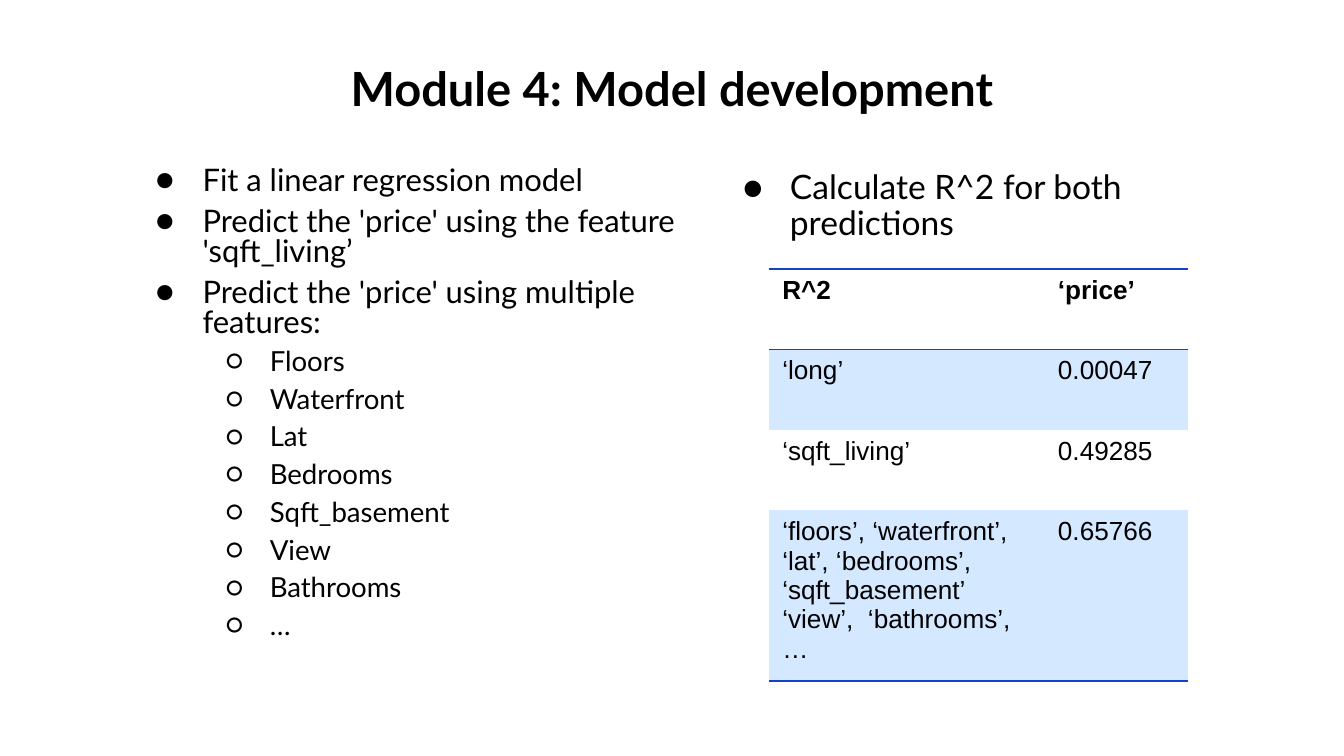
from dataclasses import dataclass

from lxml import etree
from pptx import Presentation, util as u
from pptx.dml.color import RGBColor
from pptx.enum import text as t
from pptx.oxml import ns


@dataclass(frozen=True)
class Theme:
    ink: str = "000000"
    line: str = "1642C5"
    band: str = "D4E8FF"
    plain: str = "FFFFFF"
    head: str = "Lato"
    cell: str = "Arial"
    title: float = 25.2
    main: float = 16.6
    sub: float = 14.8
    note: float = 18
    grid: float = 14


def put(item, vals):
    for key, val in vals.items():
        setattr(item, key, val)


def node(up, tag, **vals):
    return etree.SubElement(up, ns.qn(tag), vals)


class Deck:
    def __init__(self, theme, wide, high):
        self.theme = theme
        self.show = Presentation()
        put(self.show, {"slide_width": u.Cm(wide), "slide_height": u.Cm(high)})
        self.slide = self.show.slides.add_slide(self.show.slide_layouts[6])

    def font(self, par, face, size, bold=False):
        put(par.font, {"name": face, "size": u.Pt(size), "bold": bold})
        par.font.color.rgb = RGBColor.from_string(self.theme.ink)

    def frame(self, box):
        frame = self.slide.shapes.add_textbox(*map(u.Cm, box)).text_frame
        pad = u.Cm(0.25)
        put(frame, {"word_wrap": True, "margin_left": pad, "margin_right": pad,
                    "margin_top": pad, "margin_bottom": pad})
        return frame

    def title(self, box, words):
        frame = self.frame(box)
        frame.vertical_anchor = t.MSO_ANCHOR.MIDDLE
        par = frame.paragraphs[0]
        put(par, {"text": words, "alignment": t.PP_ALIGN.CENTER})
        self.font(par, self.theme.head, self.theme.title, True)

    def mark(self, par, level):
        sign, left, hang = (("●", 1.27, 0.89), ("○", 2.54, 0.84))[level]
        prop = par._p.get_or_add_pPr()
        prop.set("marL", str(u.Cm(left)))
        prop.set("indent", str(-u.Cm(hang)))
        node(node(prop, "a:buClr"), "a:srgbClr", val=self.theme.ink)
        node(prop, "a:buFont", typeface=self.theme.head)
        node(prop, "a:buChar", char=sign)

    def bullets(self, box, items, sizes, pitch):
        frame = self.frame(box)
        for num, (level, words) in enumerate(items):
            par = frame.add_paragraph() if num else frame.paragraphs[0]
            self.mark(par, level)
            put(par, {"text": words, "level": level, "line_spacing": pitch,
                      "space_before": u.Pt(6 if num else 0)})
            self.font(par, self.theme.head, sizes[level])

    def edge(self, cell, sides):
        prop = cell._tc.get_or_add_tcPr()
        for side in sides:
            line = node(prop, "a:ln" + side, w=str(u.Pt(1)))
            node(node(line, "a:solidFill"), "a:srgbClr", val=self.theme.line)

    def table(self, box, rows, cols, highs):
        table = self.slide.shapes.add_table(
            len(rows), len(cols), *map(u.Cm, box)).table
        put(table, {"first_row": True, "horz_banding": False})
        look = table._tbl.tblPr.find(ns.qn("a:tableStyleId"))
        look.text = "{2D5ABB26-0587-4C30-8999-92F81FD0307C}"
        for col, wide in zip(table.columns, cols):
            col.width = u.Cm(wide)
        for num, (row, high) in enumerate(zip(rows, highs)):
            table.rows[num].height = u.Cm(high)
            sides = {0: "TB", len(rows) - 1: "B"}.get(num, "")
            tint = self.theme.band if num % 2 else self.theme.plain
            for pos, words in enumerate(row):
                cell = table.cell(num, pos)
                cell.text = words
                self.edge(cell, sides)
                cell.fill.solid()
                cell.fill.fore_color.rgb = RGBColor.from_string(tint)
                for par in cell.text_frame.paragraphs:
                    self.font(par, self.theme.cell, self.theme.grid, num == 0)

    def save(self):
        self.show.save("out.pptx")


def main():
    theme = Theme()
    deck = Deck(theme, 25.4, 14.28)
    deck.title((1.27, 1.14, 22.86, 1.04), "Module 4: Model development")

    steps = ["Fit a linear regression model",
             "Predict the 'price' using the feature 'sqft_living’",
             "Predict the 'price' using multiple features:"]
    traits = ["Floors", "Waterfront", "Lat", "Bedrooms", "Sqft_basement",
              "View", "Bathrooms", "…"]
    items = [(0, step) for step in steps] + [(1, trait) for trait in traits]
    deck.bullets((2.31, 2.92, 11.1, 9.93), items, (theme.main, theme.sub), 0.8)
    deck.bullets((13.41, 2.97, 11.1, 2.03),
                 [(0, "Calculate R^2 for both predictions")], (theme.note,), 0.9)

    many = "\n".join(["‘floors’, ‘waterfront’, ‘lat’, ‘bedrooms’,",
                      "‘sqft_basement’", "‘view’,  ‘bathrooms’,", "…"])
    rows = [("R^2", "‘price’"), ("‘long’", "0.00047"),
            ("‘sqft_living’", "0.49285"), (many, "0.65766")]
    deck.table((14.53, 5.08, 7.92, 7.6), rows, (5.21, 2.71),
               (1.52, 1.52, 1.52, 3.04))
    deck.save()


if __name__ == "__main__":
    main()
